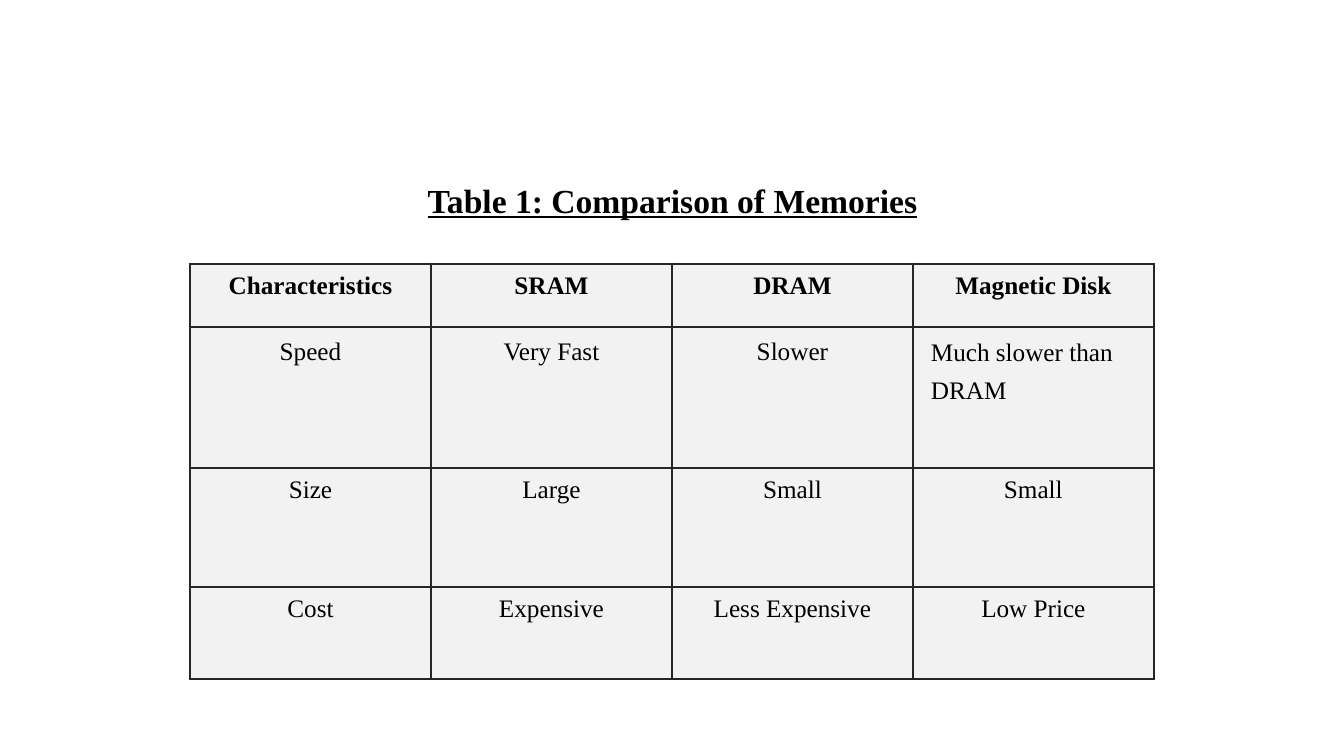
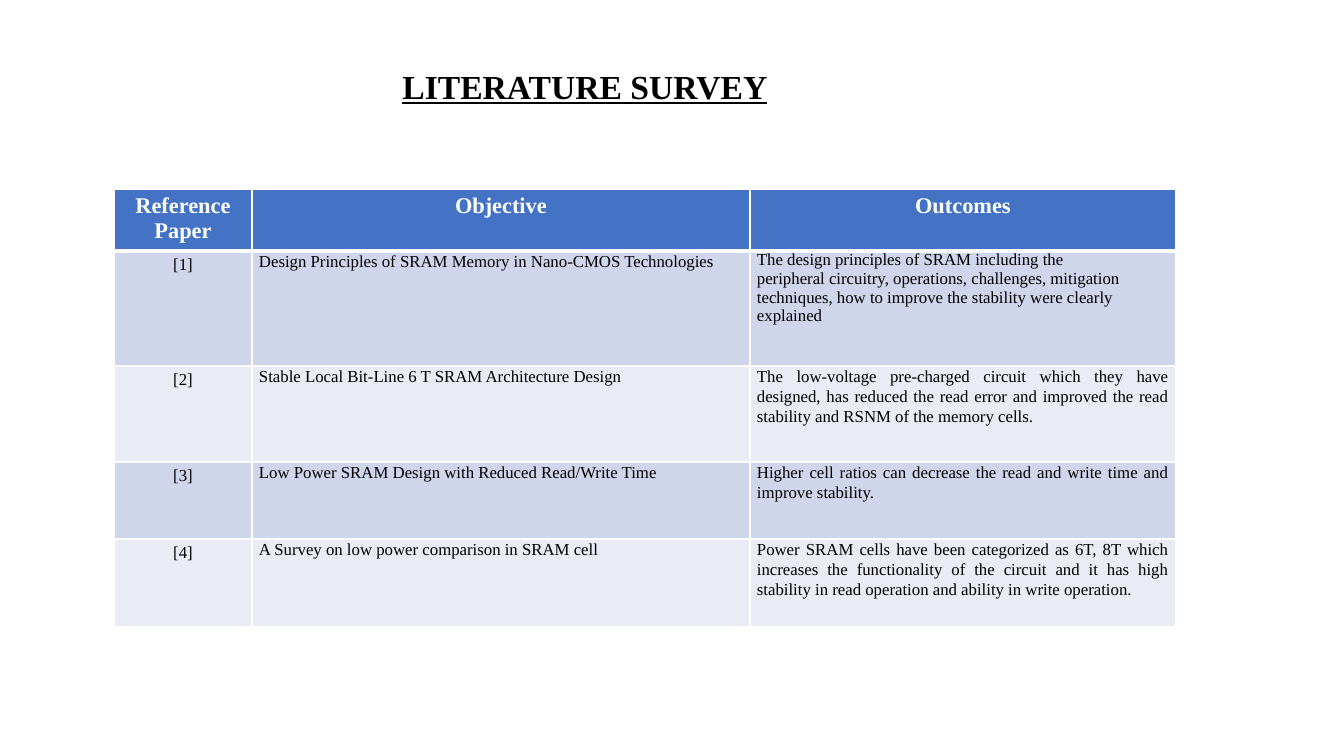
from lxml import etree
from pptx import Presentation
from pptx.dml.color import RGBColor
from pptx.enum.text import MSO_ANCHOR, PP_ALIGN
from pptx.oxml.ns import qn
from pptx.util import Pt

CENTER, LEFT, JUSTIFY = PP_ALIGN.CENTER, PP_ALIGN.LEFT, PP_ALIGN.JUSTIFY
TOP = MSO_ANCHOR.TOP
FONT = "Times New Roman"
EMU_PER_PX = 914400 / 100.8
TITLE_ONLY = 5
COLORS = {
    "black": "000000",
    "white": "FFFFFF",
    "grid": "262626",
    "cell": "F2F2F2",
    "header": "4472C4",
    "odd": "CFD5EA",
    "even": "E9EBF5",
}

MEMORY_TITLE = ("Table 1: Comparison of Memories", (331, 180, 683, 42))
MEMORY_ROWS = [
    ("Characteristics", "SRAM", "DRAM", "Magnetic Disk"),
    ("Speed", "Very Fast", "Slower", "Much slower than DRAM"),
    ("Size", "Large", "Small", "Small"),
    ("Cost", "Expensive", "Less Expensive", "Low Price"),
]
MEMORY_ORIGIN = (190, 264)
MEMORY_WIDTHS = [241] * 4
MEMORY_HEIGHTS = [63, 141, 119, 92]
MEMORY_TOP_MARGINS = [8, 11, 8, 8]
LONG_CELL = (1, 3)
THIN_BOTTOMS = {(0, 3), (1, 3), (2, 2), (2, 3)}

SURVEY_TITLE = ("LITERATURE SURVEY", (249, 66, 672, 42))
SURVEY_ROWS = [
    ("Reference Paper", "Objective", "Outcomes"),
    ("[1]", "Design Principles of SRAM Memory in Nano-CMOS Technologies",
     "The design principles of SRAM including the\n"
     "peripheral circuitry, operations, challenges, mitigation\n"
     "techniques, how to improve the stability were clearly\n"
     "explained"),
    ("[2]", "Stable Local Bit-Line 6 T SRAM Architecture Design",
     "The low-voltage pre-charged circuit which they have designed, has reduced "
     "the read error and improved the read stability and RSNM of the memory cells."),
    ("[3]", "Low Power SRAM Design with Reduced Read/Write Time",
     "Higher cell ratios can decrease the read and write time and improve stability."),
    ("[4]", "A Survey on low power comparison in SRAM cell",
     "Power SRAM cells have been categorized as 6T, 8T which increases the "
     "functionality of the circuit and it has high stability in read operation "
     "and ability in write operation."),
]
SURVEY_ORIGIN = (114, 189)
SURVEY_WIDTHS = [138, 498, 426]
SURVEY_HEIGHTS = [62, 115, 96, 77, 88]


def px(length):
    return round(length * EMU_PER_PX)


def set_text(frame, text, size, color="black", bold=False, underline=False,
             align=CENTER, spacing=1.0):
    frame.text = text
    for para in frame.paragraphs:
        para.alignment = align
        para.line_spacing = spacing
        font = para.font
        font.name, font.size, font.bold = FONT, Pt(size), bold
        font.underline = underline
        font.color.rgb = RGBColor.from_string(COLORS[color])


def set_margins(target, left, top, right, bottom):
    target.margin_left, target.margin_top = px(left), px(top)
    target.margin_right, target.margin_bottom = px(right), px(bottom)


def set_borders(cell, color, widths):
    properties = cell._tc.get_or_add_tcPr()
    for side, width in zip("LRTB", widths):
        line = etree.SubElement(properties, qn(f"a:ln{side}"), w=str(Pt(width)))
        fill = etree.SubElement(line, qn("a:solidFill"))
        etree.SubElement(fill, qn("a:srgbClr"), val=COLORS[color])


def add_page(deck, title, bounds):
    page = deck.slides.add_slide(deck.slide_layouts[TITLE_ONLY])
    box = page.shapes.title
    box.left, box.top, box.width, box.height = map(px, bounds)
    frame = box.text_frame
    frame.word_wrap = True
    frame.vertical_anchor = TOP
    set_margins(frame, 0, 0, 0, 0)
    set_text(frame, title, 24, bold=True, underline=True)
    return page


def add_grid(page, rows, origin, widths, heights, format_cell):
    left, top = origin
    table = page.shapes.add_table(
        len(rows), len(widths), px(left), px(top), px(sum(widths)), px(sum(heights))
    ).table
    table.first_row = table.horz_banding = False
    for column, width in zip(table.columns, widths):
        column.width = px(width)
    for row, height in zip(table.rows, heights):
        row.height = px(height)
    for r, texts in enumerate(rows):
        for c, text in enumerate(texts):
            format_cell(table.cell(r, c), r, c, text)


def fill_cell(cell, color):
    cell.fill.solid()
    cell.fill.fore_color.rgb = RGBColor.from_string(COLORS[color])
    cell.vertical_anchor = TOP


def format_memory_cell(cell, r, c, text):
    above, below = (1.5 if spot in THIN_BOTTOMS else 2.25 for spot in ((r - 1, c), (r, c)))
    set_borders(cell, "grid", (2.25, 2.25, above, below))
    fill_cell(cell, "cell")
    if (r, c) == LONG_CELL:
        set_margins(cell, 18, 1, 0, 0)
        set_text(cell.text_frame, text, 18, align=LEFT, spacing=Pt(27.6))
    else:
        set_margins(cell, 0, MEMORY_TOP_MARGINS[r], 0, 0)
        set_text(cell.text_frame, text, 18, bold=r == 0)


def format_survey_cell(cell, r, c, text):
    above, below = (3 if r == 1 else 1), (3 if r == 0 else 1)
    set_borders(cell, "white", (1, 1, above, below))
    fill_cell(cell, "header" if r == 0 else "odd" if r % 2 else "even")
    if r == 0:
        set_margins(cell, 10, 5, 10, 5)
        set_text(cell.text_frame, text, 16, color="white", bold=True)
    elif c == 0:
        set_margins(cell, 10, 5, 10, 5)
        set_text(cell.text_frame, text, 12)
    else:
        set_margins(cell, 7, 0, 7, 0)
        spacing = 1.0 if "\n" in text else 1.07
        set_text(cell.text_frame, text, 12, align=JUSTIFY, spacing=spacing)


def main():
    deck = Presentation()
    deck.slide_width, deck.slide_height = px(1344), px(756)
    page = add_page(deck, *MEMORY_TITLE)
    add_grid(page, MEMORY_ROWS, MEMORY_ORIGIN, MEMORY_WIDTHS, MEMORY_HEIGHTS,
             format_memory_cell)
    page = add_page(deck, *SURVEY_TITLE)
    add_grid(page, SURVEY_ROWS, SURVEY_ORIGIN, SURVEY_WIDTHS, SURVEY_HEIGHTS,
             format_survey_cell)
    deck.save("out.pptx")


if __name__ == "__main__":
    main()
